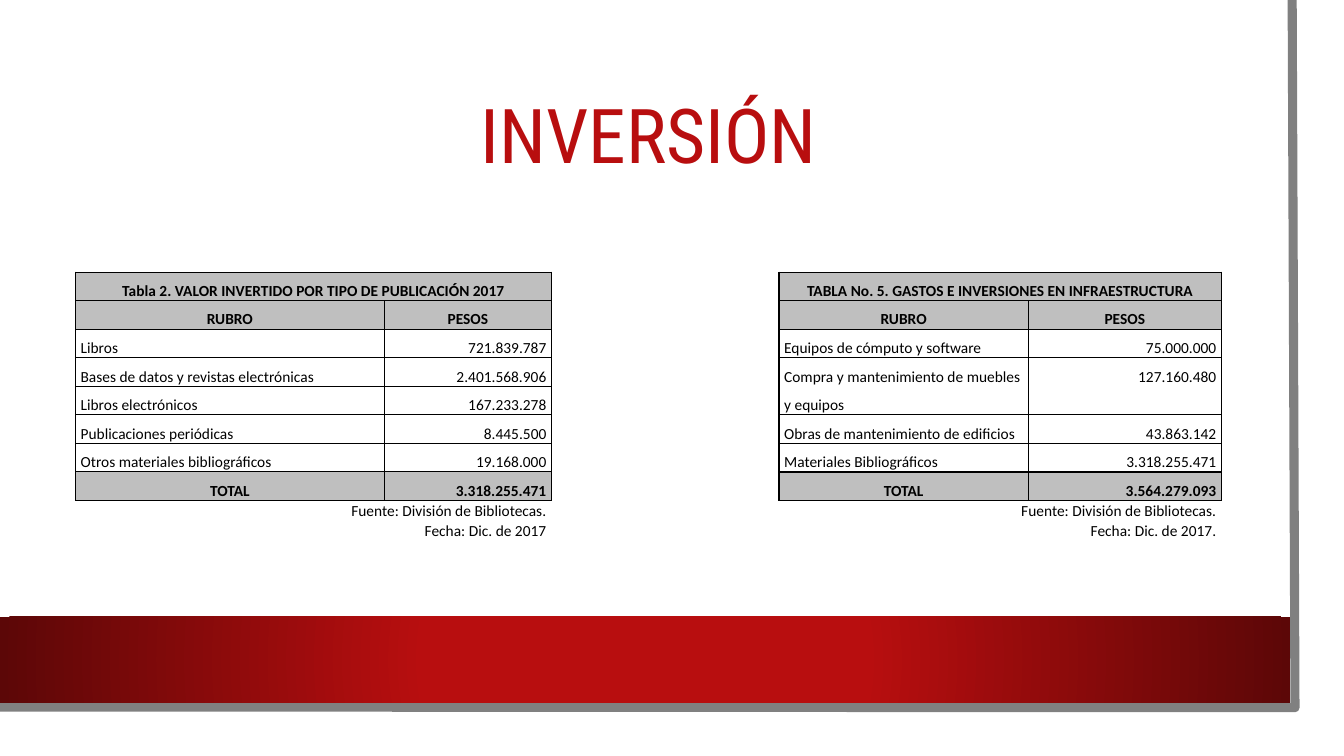
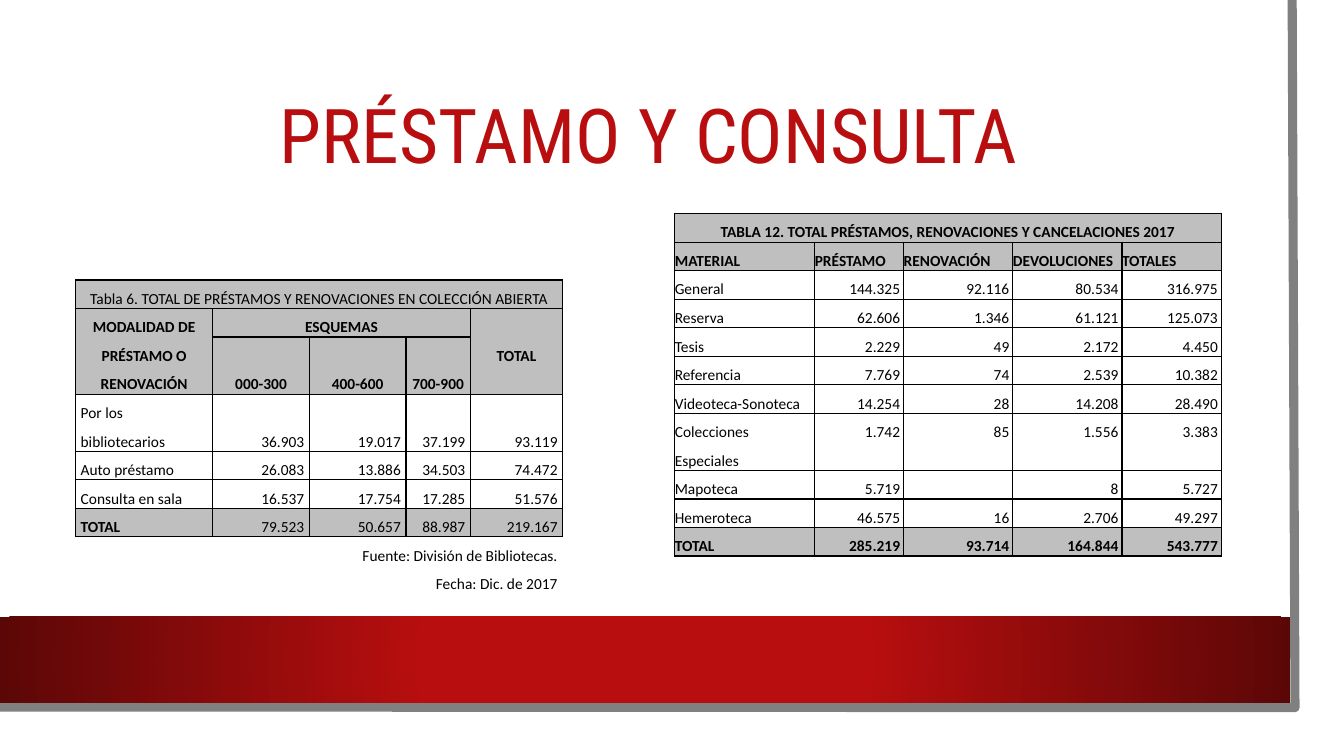
import lxml.etree
import pptx
import pptx.dml.color
import pptx.enum.shapes
import pptx.enum.text
import pptx.oxml
import pptx.oxml.ns
import pptx.util

Pt = pptx.util.Pt
RGB = pptx.dml.color.RGBColor.from_string
qn = pptx.oxml.ns.qn
ALIGN = pptx.enum.text.PP_ALIGN
ANCHOR = pptx.enum.text.MSO_ANCHOR


class Theme:
    red, dark_red = "B80E0F", "5C0707"
    white, black = "FFFFFF", "000000"
    frame, head = "808080", "BFBFBF"
    title_font, body_font = "Roboto Condensed", "Calibri"
    title_size, body_size = 54, 11
    row_height, cell_margin = 20.4, 3.6
    no_grid_style = "{2D5ABB26-0587-4C30-8999-92F81FD0307C}"


def put_text(tf, text, size=Theme.body_size, font=Theme.body_font,
             color=Theme.black, bold=False, align=ALIGN.LEFT, spacing=1.5):
    for i, line in enumerate(text.split("\n")):
        p = tf.paragraphs[0] if i == 0 else tf.add_paragraph()
        p.alignment = align
        p.line_spacing = spacing
        if not line:  # keeps an empty cell from growing its row
            lxml.etree.SubElement(p._p, qn("a:endParaRPr"), sz=str(size * 100))
            continue
        r = p.add_run()
        r.text = line
        r.font.size = Pt(size)
        r.font.name = font
        r.font.bold = bold
        r.font.color.rgb = RGB(color)


def add_borders(cell, sides):
    tcPr = cell._tc.get_or_add_tcPr()
    for side in sides:
        ln = lxml.etree.SubElement(tcPr, qn("a:ln" + side), w=str(Pt(1)))
        fill = lxml.etree.SubElement(ln, qn("a:solidFill"))
        lxml.etree.SubElement(fill, qn("a:srgbClr"), val=Theme.black)


prs = pptx.Presentation()
prs.slide_width, prs.slide_height = Pt(960), Pt(540)
layout = prs.slide_layouts[5]

# Shared title place
title = layout.placeholders[0]
title.left, title.top, title.width, title.height = Pt(54), Pt(54), Pt(819), Pt(91)

# Slides and titles
slides = []
for text in ("INVERSIÓN", "PRÉSTAMO Y CONSULTA"):
    slide = prs.slides.add_slide(layout)
    tf = slide.shapes.title.text_frame
    tf.auto_size = pptx.enum.text.MSO_AUTO_SIZE.NONE
    tf.vertical_anchor = ANCHOR.MIDDLE
    put_text(tf, text, size=Theme.title_size, font=Theme.title_font,
             color=Theme.red, align=ALIGN.CENTER, spacing=0.9)
    slides.append(slide)

# Shared page, frame line and red band, moved into the layout
shapes = slides[0].shapes
rect = pptx.enum.shapes.MSO_SHAPE.RECTANGLE
page = shapes.add_shape(rect, 0, 0, Pt(943), Pt(523.5))
page.fill.solid()
page.fill.fore_color.rgb = RGB(Theme.white)

outline = shapes.build_freeform(Pt(923), 0)
outline.add_line_segments([(Pt(925), Pt(505.5)), (Pt(-2), Pt(505))], close=False)
frame = outline.convert_to_shape()
frame.fill.background()

band = shapes.add_shape(rect, 0, Pt(440.6), Pt(921.6), Pt(61.4))
band.fill.gradient()
old_grad = band.element.spPr.find(qn("a:gradFill"))
band.element.spPr.replace(old_grad, pptx.oxml.parse_xml(
    f'<a:gradFill {pptx.oxml.ns.nsdecls("a")}><a:gsLst>'
    f'<a:gs pos="34000"><a:srgbClr val="{Theme.red}"/></a:gs>'
    f'<a:gs pos="100000"><a:srgbClr val="{Theme.dark_red}"/></a:gs></a:gsLst>'
    '<a:path path="circle"><a:fillToRect l="50000" t="50000" r="50000" b="50000"/>'
    '</a:path></a:gradFill>'))

for i, sp in enumerate((page, frame, band)):
    sp.shadow.inherit = False
    sp.line.fill.background()
    layout.shapes.element.insert(2 + i, sp.element)
frame.line.color.rgb = RGB(Theme.frame)
frame.line.width = Pt(6.5)

# Table contents: title, column heads, data, total and, where given, the source
publications = dict(
    slide=slides[0], left=54, top=194.4, cols=(220.5, 119.5),
    total_align=ALIGN.CENTER, source_spacing=1.07,
    source="Fuente: División de Bibliotecas.\nFecha: Dic. de 2017",
    rows=[
        ["Tabla 2. VALOR INVERTIDO POR TIPO DE PUBLICACIÓN 2017"],
        ["RUBRO", "PESOS"],
        ["Libros", "721.839.787"],
        ["Bases de datos y revistas electrónicas", "2.401.568.906"],
        ["Libros electrónicos", "167.233.278"],
        ["Publicaciones periódicas", "8.445.500"],
        ["Otros materiales bibliográficos", "19.168.000"],
        ["TOTAL", "3.318.255.471"],
    ])
infrastructure = dict(
    slide=slides[0], left=556.5, top=194.4, cols=(178, 138), tall_row=3,
    total_align=ALIGN.CENTER, source_spacing=1.07,
    source="Fuente: División de Bibliotecas.\nFecha: Dic. de 2017.",
    rows=[
        ["TABLA No. 5. GASTOS E INVERSIONES EN INFRAESTRUCTURA"],
        ["RUBRO", "PESOS"],
        ["Equipos de cómputo y software", "75.000.000"],
        ["Compra y mantenimiento de muebles y equipos", "127.160.480"],
        ["Obras de mantenimiento de edificios", "43.863.142"],
        ["Materiales Bibliográficos", "3.318.255.471"],
        ["TOTAL", "3.564.279.093"],
    ])
open_collection = dict(
    slide=slides[1], left=54, top=200, cols=(98, 69, 69, 46, 66), tall_row=3,
    head_rows=3, tall_head=2, anchor=ANCHOR.BOTTOM, title_bold=False,
    total_bold=False, merges=[(1, 0, 2, 0), (1, 1, 1, 3), (1, 4, 2, 4)],
    source="Fuente: División de Bibliotecas.\nFecha: Dic. de 2017",
    rows=[
        ["Tabla 6. TOTAL DE PRÉSTAMOS Y RENOVACIONES EN COLECCIÓN ABIERTA"],
        ["MODALIDAD DE PRÉSTAMO O RENOVACIÓN", "ESQUEMAS", "", "", "TOTAL"],
        ["", "000-300", "400-600", "700-900", ""],
        ["Por los bibliotecarios", "36.903", "19.017", "37.199", "93.119"],
        ["Auto préstamo", "26.083", "13.886", "34.503", "74.472"],
        ["Consulta en sala", "16.537", "17.754", "17.285", "51.576"],
        ["TOTAL", "79.523", "50.657", "88.987", "219.167"],
    ])
loans = dict(
    slide=slides[1], left=482, top=152.6, cols=(100, 63.5, 78, 78, 71), tall_row=7,
    margin=0, head_align=ALIGN.LEFT,
    rows=[
        ["TABLA 12. TOTAL PRÉSTAMOS, RENOVACIONES Y CANCELACIONES 2017"],
        ["MATERIAL", "PRÉSTAMO", "RENOVACIÓN", "DEVOLUCIONES", "TOTALES"],
        ["General", "144.325", "92.116", "80.534", "316.975"],
        ["Reserva", "62.606", "1.346", "61.121", "125.073"],
        ["Tesis", "2.229", "49", "2.172", "4.450"],
        ["Referencia", "7.769", "74", "2.539", "10.382"],
        ["Videoteca-Sonoteca", "14.254", "28", "14.208", "28.490"],
        ["Colecciones Especiales", "1.742", "85", "1.556", "3.383"],
        ["Mapoteca", "5.719", "", "8", "5.727"],
        ["Hemeroteca", "46.575", "16", "2.706", "49.297"],
        ["TOTAL", "285.219", "93.714", "164.844", "543.777"],
    ])

# Draw the tables
for spec in (publications, infrastructure, open_collection, loans):
    cols, rows = spec["cols"], list(spec["rows"])
    total = len(rows) - 1
    head_rows = spec.get("head_rows", 2)
    margin = spec.get("margin", Theme.cell_margin)
    merges = [(0, 0, 0, len(cols) - 1)] + spec.get("merges", [])
    heights = [Theme.row_height] * len(rows)
    for key in ("tall_row", "tall_head"):
        if key in spec:
            heights[spec[key]] *= 2
    if "source" in spec:
        rows.append([spec["source"]])
        heights.append(27.2 * spec.get("source_spacing", 1.5))
        merges.append((total + 1, 0, total + 1, len(cols) - 1))

    gf = spec["slide"].shapes.add_table(
        len(rows), len(cols), Pt(spec["left"]), Pt(spec["top"]),
        Pt(sum(cols)), Pt(sum(heights)))
    table = gf.table
    table.first_row = table.horz_banding = False
    table._tbl.tblPr.find(qn("a:tableStyleId")).text = Theme.no_grid_style
    for column, width in zip(table.columns, cols):
        column.width = Pt(width)
    for row, height in zip(table.rows, heights):
        row.height = Pt(height)

    for i, row in enumerate(rows):
        is_head, is_total, is_source = i < head_rows, i == total, i > total
        for j in range(len(cols)):
            cell = table.cell(i, j)
            text = row[j] if j < len(row) else ""
            align = ALIGN.RIGHT if j or is_source else ALIGN.LEFT
            bold = is_head or is_total
            spacing = 1.5
            if i == 0:
                align, bold = ALIGN.CENTER, spec.get("title_bold", True)
            elif is_head:
                align = spec.get("head_align", ALIGN.CENTER)
            elif is_total and j == 0:
                align = spec.get("total_align", ALIGN.LEFT)
            elif is_total:
                bold = spec.get("total_bold", True)
            elif is_source:
                spacing = spec.get("source_spacing", 1.5)

            cell.margin_top = cell.margin_bottom = 0
            cell.margin_left = Pt(margin)
            cell.margin_right = Pt(margin or (2.5 if align == ALIGN.RIGHT else 0))
            cell.vertical_anchor = spec.get("anchor", ANCHOR.TOP)
            add_borders(cell, "T" if is_source else "LRTB")
            if is_source:
                cell.fill.background()
            else:
                cell.fill.solid()
                cell.fill.fore_color.rgb = RGB(
                    Theme.head if is_head or is_total else Theme.white)
            put_text(cell.text_frame, text, bold=bold, align=align, spacing=spacing)

    for top, left, bottom, right in merges:
        first = table.cell(top, left)
        first.merge(table.cell(bottom, right))
        if bottom > top:
            first.vertical_anchor = ANCHOR.MIDDLE

prs.save("out.pptx")
